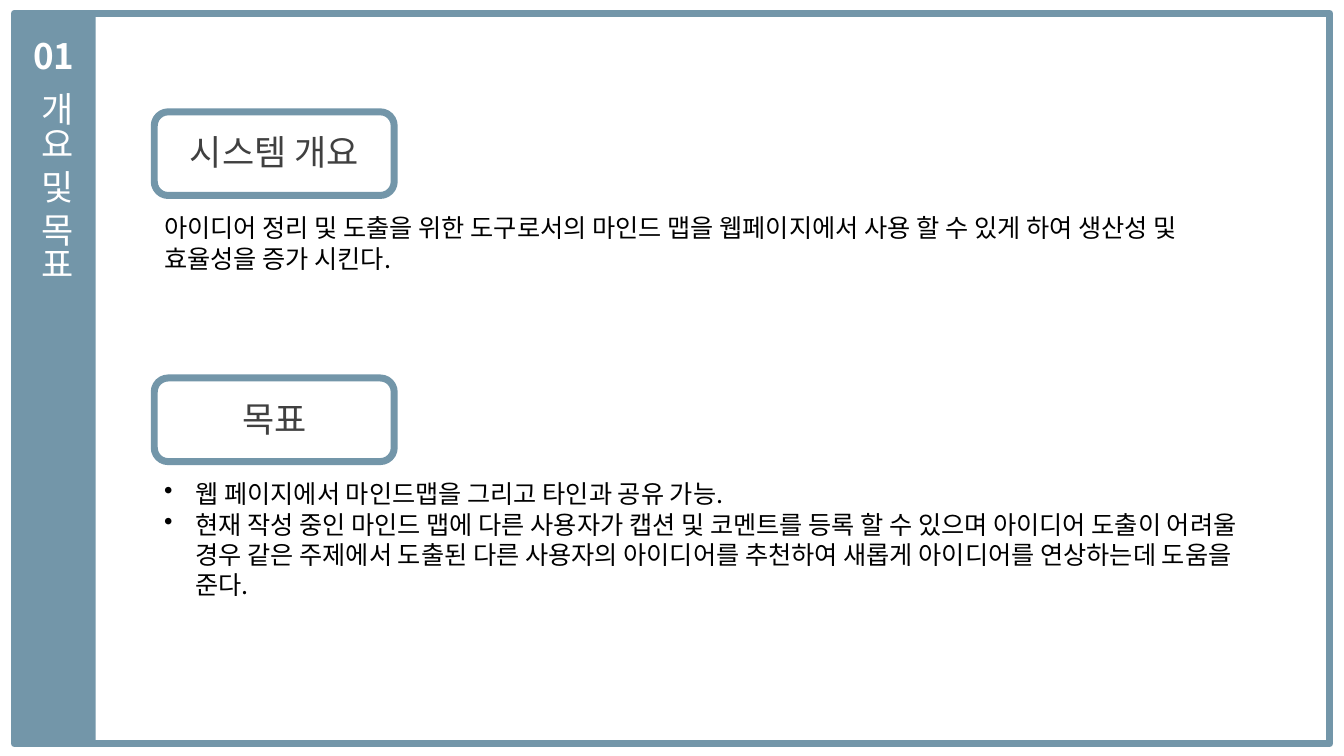
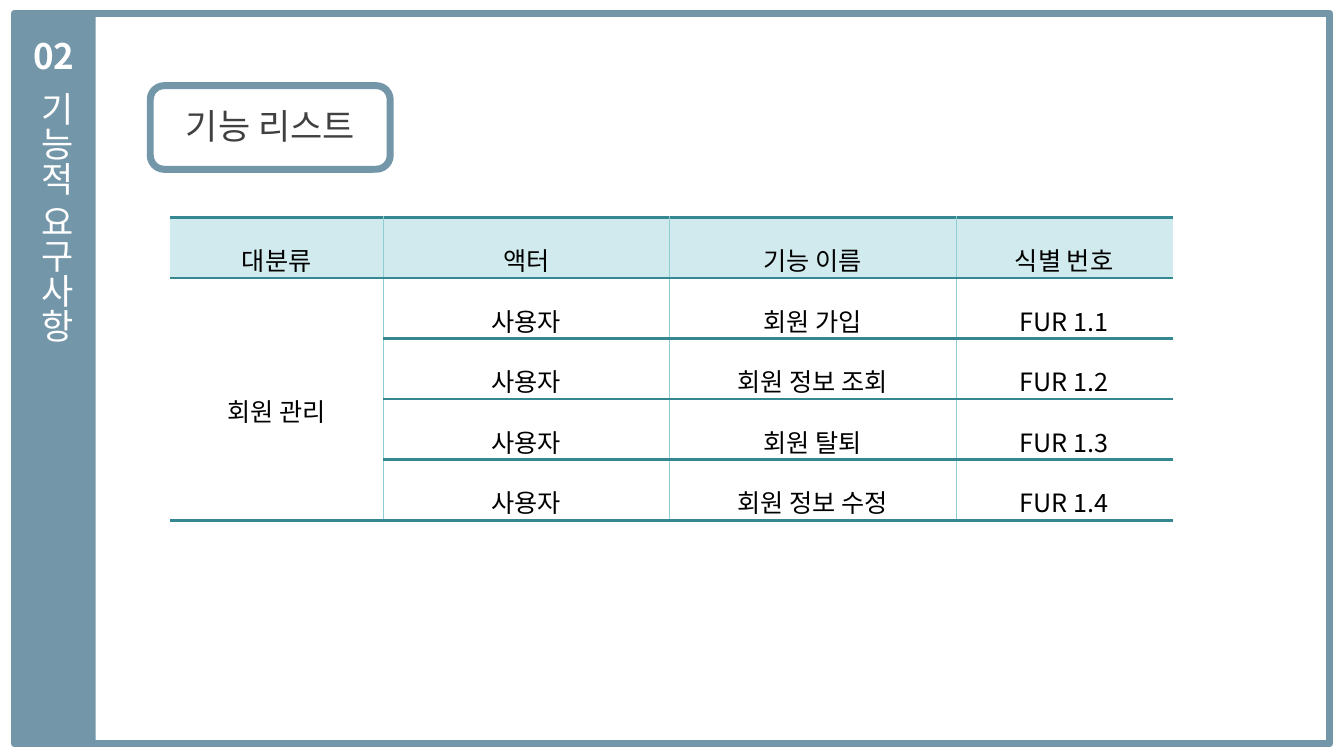
from lxml import etree
from pptx import Presentation
from pptx.dml.color import RGBColor
from pptx.enum.shapes import MSO_SHAPE
from pptx.enum.text import MSO_ANCHOR, MSO_AUTO_SIZE, PP_ALIGN
from pptx.oxml.ns import qn
from pptx.util import Inches, Pt

RECTANGLE, ROUNDED = MSO_SHAPE.RECTANGLE, MSO_SHAPE.ROUNDED_RECTANGLE
LEFT, CENTER = PP_ALIGN.LEFT, PP_ALIGN.CENTER
MIDDLE, GROW = MSO_ANCHOR.MIDDLE, MSO_AUTO_SIZE.SHAPE_TO_FIT_TEXT

FONT = "Noto Sans CJK KR"
BLUE, WHITE, GRAY, BLACK = "7396A9", "FFFFFF", "404040", "000000"
TEAL, PALE_TEAL, HEADER_FILL = "358791", "8FCED5", "D0EAED"


def color(hex_code):
    return RGBColor.from_string(hex_code)


def write(frame, lines, size=18, ink=BLACK, bold=False, align=LEFT,
          bullet=False, spacing=None, wrap=True):
    frame.word_wrap = wrap
    for index, line in enumerate(lines):
        para = frame.add_paragraph() if index else frame.paragraphs[0]
        para.alignment = align
        if spacing:
            para.line_spacing = spacing
        if bullet:
            properties = para._p.get_or_add_pPr()
            properties.set("marL", str(Inches(0.31)))
            properties.set("indent", str(-Inches(0.31)))
            etree.SubElement(properties, qn("a:buChar"), char="•")
        span = para.add_run()
        span.text = line
        span.font.size, span.font.bold = Pt(size), bold
        span.font.color.rgb = color(ink)
        span.font.name = FONT
        etree.SubElement(span._r.get_or_add_rPr(), qn("a:ea"), typeface=FONT)


# Content: number, title, title height, sections (left, top, heading, body, bullets)
pages = [
    ("01", "개요 및 목표", 2.21, [
        (1.53, 1.11, "시스템 개요", [
            "아이디어 정리 및 도출을 위한 도구로서의 마인드 맵을 웹페이지에서 "
            "사용 할 수 있게 하여 생산성 및 효율성을 증가 시킨다."], False),
        (1.53, 3.75, "목표", [
            "웹 페이지에서 마인드맵을 그리고 타인과 공유 가능.",
            "현재 작성 중인 마인드 맵에 다른 사용자가 캡션 및 코멘트를 등록 할 수 "
            "있으며 아이디어 도출이 어려울 경우 같은 주제에서 도출된 다른 사용자의 "
            "아이디어를 추천하여 새롭게 아이디어를 연상하는데 도움을 준다."], True),
    ]),
    ("02", "기능적 요구사항", 2.84, [
        (1.49, 0.85, "기능 리스트", [], False),
    ]),
]
functions = ["회원 가입", "회원 정보 조회", "회원 탈퇴", "회원 정보 수정"]
rows = [["대분류", "액터", "기능 이름", "식별 번호"]]
for number, function in enumerate(functions, 1):
    category = "회원 관리" if number == 1 else ""
    rows.append([category, "사용자", function, f"FUR 1.{number}"])

deck = Presentation()
deck.slide_width, deck.slide_height = Inches(13.33), Inches(7.5)

for number, title, title_height, sections in pages:
    page = deck.slides.add_slide(deck.slide_layouts[6])

    # Page border and side band
    border = page.shapes.add_shape(
        RECTANGLE, Inches(0.14), Inches(0.13), Inches(13.05), Inches(7.25))
    border.shadow.inherit = False
    border.fill.background()
    border.line.color.rgb = color(BLUE)
    border.line.width = Pt(5)
    band = page.shapes.add_shape(
        RECTANGLE, Inches(0.14), Inches(0.13), Inches(0.81), Inches(7.25))
    band.shadow.inherit = False
    band.fill.solid()
    band.fill.fore_color.rgb = color(BLUE)
    band.line.fill.background()

    # Number and vertical title
    box = page.shapes.add_textbox(
        Inches(0.23), Inches(0.29), Inches(0.62), Inches(0.52))
    box.text_frame.auto_size = GROW
    write(box.text_frame, [number], size=25, ink=WHITE, bold=True, wrap=False)
    box = page.shapes.add_textbox(
        Inches(0.2), Inches(0.81), Inches(0.62), Inches(title_height))
    box.text_frame.auto_size = GROW
    box.text_frame._txBody.bodyPr.set("vert", "eaVert")
    write(box.text_frame, [title], size=25, ink=WHITE, wrap=False)

    # Framed headings with their body text
    for left, top, heading, body, bullets in sections:
        outline = page.shapes.add_shape(
            ROUNDED, Inches(left), Inches(top), Inches(2.38), Inches(0.83))
        outline.shadow.inherit = False
        outline.fill.background()
        outline.line.color.rgb = color(BLUE)
        outline.line.width = Pt(5)
        box = page.shapes.add_textbox(
            Inches(left), Inches(top + 0.14), Inches(2.38), Inches(0.52))
        write(box.text_frame, [heading], size=25, ink=GRAY, align=CENTER)
        if body:
            box = page.shapes.add_textbox(
                Inches(left), Inches(top + 0.95), Inches(11.15), Inches(0.71))
            box.text_frame.auto_size = GROW
            write(box.text_frame, body, bullet=bullets)

# Function table on the last page
widths = [2.11, 2.84, 2.84, 2.15]
last_row, last_column = len(rows) - 1, len(widths) - 1
table = page.shapes.add_table(
    len(rows), len(widths), Inches(1.69), Inches(2.16),
    Inches(sum(widths)), Inches(0.6 * len(rows))).table
table.first_row = table.horz_banding = False
for column, width in zip(table.columns, widths):
    column.width = Inches(width)
table.cell(1, 0).merge(table.cell(last_row, 0))

for row, texts in enumerate(rows):
    for column, text in enumerate(texts):
        cell = table.cell(row, column)
        cell.vertical_anchor = MIDDLE
        cell.margin_left = cell.margin_right = Inches(0.07)
        cell.margin_top = cell.margin_bottom = Inches(0.02)
        if text:
            write(cell.text_frame, [text], align=CENTER, spacing=1.6)
        if row == 0:
            cell.fill.solid()
            cell.fill.fore_color.rgb = color(HEADER_FILL)
        else:
            cell.fill.background()

        # Thin inner verticals, strong horizontals, open outer sides
        inside_merge = column == 0 and row > 0
        edges = [
            ("a:lnL", PALE_TEAL, 0.28 if column > 0 else 0),
            ("a:lnR", PALE_TEAL, 0.28 if column < last_column else 0),
            ("a:lnT", TEAL, 2.55 if row == 0 else
             0 if inside_merge and row > 1 else 1.98),
            ("a:lnB", TEAL, 2.55 if row == last_row else
             0 if inside_merge else 1.98),
        ]
        if inside_merge and row == 1:
            edges[3] = ("a:lnB", TEAL, 2.55)
        properties = cell._tc.get_or_add_tcPr()
        for position, (tag, ink, points) in enumerate(edges):
            edge = etree.Element(qn(tag), w=str(Pt(points)))
            if points:
                paint = etree.SubElement(edge, qn("a:solidFill"))
                etree.SubElement(paint, qn("a:srgbClr"), val=ink)
            else:
                etree.SubElement(edge, qn("a:noFill"))
            properties.insert(position, edge)

deck.save("out.pptx")
